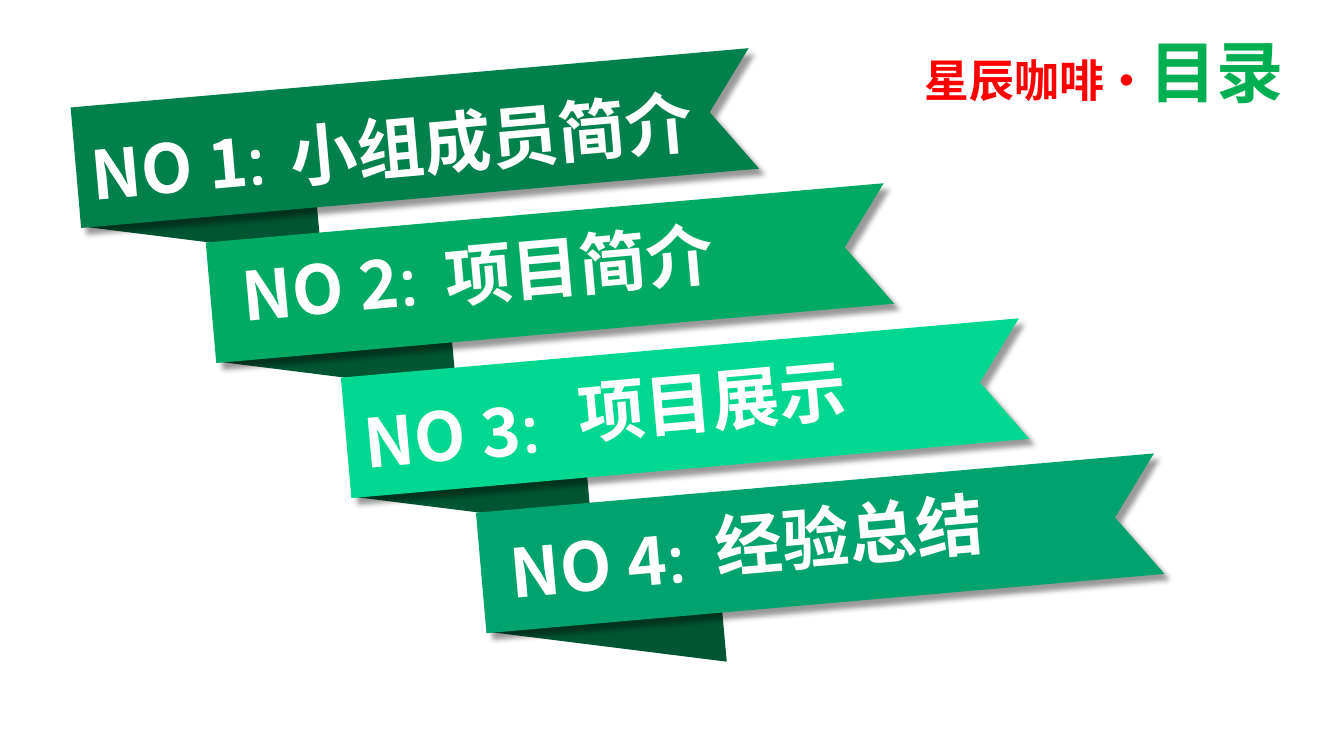
from lxml import etree
from pptx import Presentation
from pptx import util as u
from pptx.dml.color import RGBColor
from pptx.enum import shapes, text
from pptx.oxml.ns import qn

PX = 9144  # 100 px to the inch
STEP = 134  # each ribbon sits this far right of and below the last

WHITE = RGBColor(0xFF, 0xFF, 0xFF)
RED = RGBColor(0xFF, 0x00, 0x00)
GREEN = RGBColor(0x00, 0xB0, 0x50)
FOLD = RGBColor(0x00, 0x55, 0x32)
RIBBON_1 = RGBColor(0x00, 0x80, 0x4A)
RIBBON_2 = RGBColor(0x00, 0xAA, 0x63)
RIBBON_3 = RGBColor(0x00, 0xD8, 0x91)
RIBBON_4 = RGBColor(0x00, 0xA2, 0x6D)

HEADING_FONT = "Noto Sans CJK SC"
COLON_FONT = "Quicksand"

# Ribbon colour, number box (left, top, width), topic, topic box
ENTRIES = [
    (RIBBON_1, (80, 117, 238), "小组成员简介", (277, 91, 420)),
    (RIBBON_2, (230, 237, 238), "项目简介", (431, 216, 287)),
    (RIBBON_3, (351, 383, 238), "项目展示", (563, 351, 287)),
    (RIBBON_4, (496, 513, 212), "经验总结", (699, 484, 287)),
]


def px(*lengths):
    return [u.Emu(length * PX) for length in lengths]


def paint(shape, colour):
    shape.fill.solid()
    shape.fill.fore_color.rgb = colour
    shape.line.fill.background()
    shape.shadow.inherit = False


def add_fold(group, left, top):
    fold = group.shapes.add_shape(
        shapes.MSO_SHAPE.RIGHT_TRIANGLE, *px(left, top, 51, 235))
    paint(fold, FOLD)
    fold.rotation = 264.9
    fold.element.spPr.find(qn("a:xfrm")).set("flipH", "1")


def add_ribbon(group, left, top, colour):
    builder = group.shapes.build_freeform(0, 0, scale=PX)
    builder.add_line_segments([(675, 0), (631, 60), (675, 120), (0, 120)])
    ribbon = builder.convert_to_shape(*px(left, top))
    paint(ribbon, colour)
    ribbon.rotation = 355
    add_drop_shadow(ribbon)


def add_drop_shadow(shape):
    effects = shape.element.spPr.find(qn("a:effectLst"))
    shadow = etree.SubElement(
        effects, qn("a:outerShdw"), blurRad=str(u.Pt(4)), dist=str(u.Pt(6)),
        dir="2700000", algn="tl", rotWithShape="0")
    black = etree.SubElement(shadow, qn("a:srgbClr"), val="000000")
    etree.SubElement(black, qn("a:alpha"), val="40000")


def add_text(parent, left, top, width, runs, rotation=0):
    box = parent.shapes.add_textbox(*px(left, top, width, 91))
    box.rotation = rotation
    frame = box.text_frame
    frame.word_wrap = True
    frame.auto_size = text.MSO_AUTO_SIZE.SHAPE_TO_FIT_TEXT
    for words, size, colour, font in runs:
        run = frame.paragraphs[0].add_run()
        run.text = words
        run.font.size = u.Pt(size)
        run.font.bold = True
        run.font.color.rgb = colour
        run.font.name = font
        east_asian = etree.Element(qn("a:ea"), typeface=HEADING_FONT)
        run.font._element.find(qn("a:latin")).addnext(east_asian)
    return frame


def add_label(group, place, runs):
    label = add_text(group, *place, runs, rotation=354.9)
    label.vertical_anchor = text.MSO_ANCHOR.MIDDLE
    label.margin_right = 0


def add_entry(slide, index, colour, number_place, topic, topic_place):
    group = slide.shapes.add_group_shape()
    shift = index * STEP
    add_fold(group, 174 + shift, 122 + shift)
    add_ribbon(group, 74 + shift, 77 + shift, colour)
    add_label(group, number_place, [
        (f"NO {index + 1}", 48, WHITE, HEADING_FONT),
        (":", 48, WHITE, COLON_FONT),
    ])
    add_label(group, topic_place, [(topic, 48, WHITE, HEADING_FONT)])


def main():
    deck = Presentation()
    deck.slide_width, deck.slide_height = px(1333, 750)
    slide = deck.slides.add_slide(deck.slide_layouts[6])

    # Ribbons of the contents list
    for index, entry in enumerate(ENTRIES):
        add_entry(slide, index, *entry)

    # Heading
    heading = add_text(slide, 907, 25, 376, [
        ("星辰咖啡·", 32, RED, HEADING_FONT),
        ("目录", 48, GREEN, HEADING_FONT),
    ])
    heading.paragraphs[0].alignment = text.PP_ALIGN.RIGHT

    deck.save("out.pptx")


if __name__ == "__main__":
    main()
